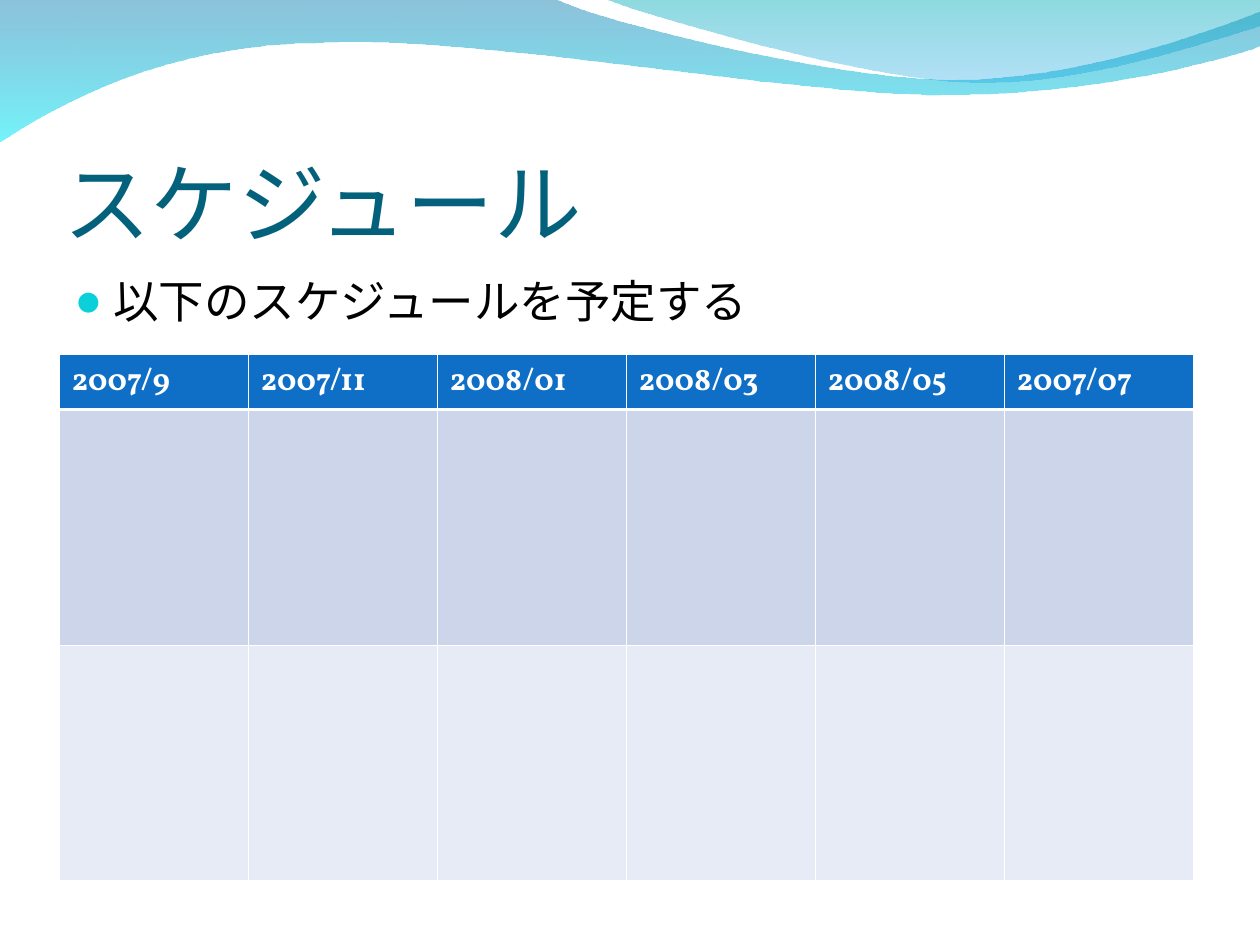
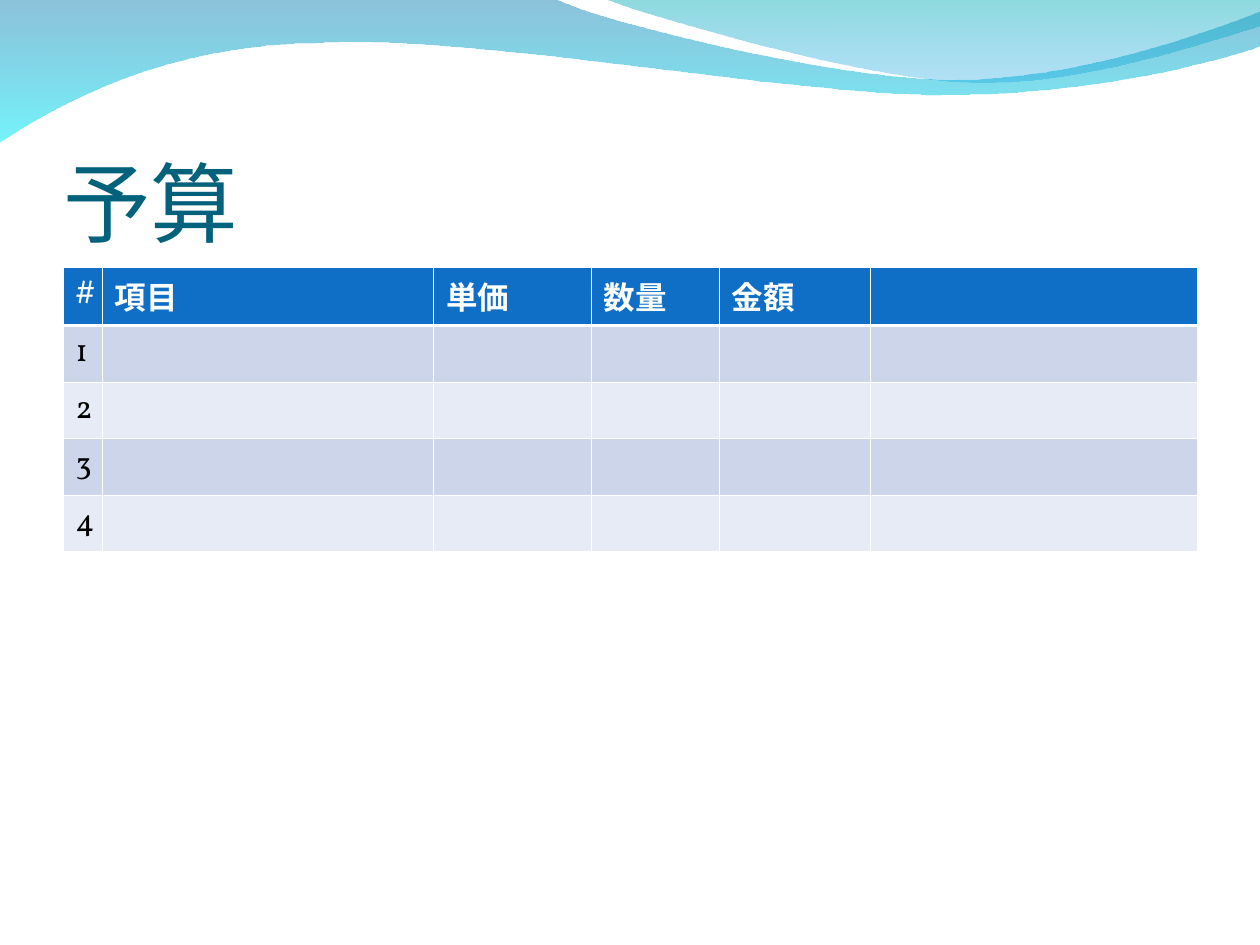
from itertools import chain

from lxml import etree
from pptx import Presentation
from pptx.dml.color import RGBColor
from pptx.enum.lang import MSO_LANGUAGE_ID
from pptx.enum.text import MSO_ANCHOR, MSO_AUTO_SIZE, PP_ALIGN
from pptx.oxml.ns import qn
from pptx.util import Inches, Pt

JAPANESE = MSO_LANGUAGE_ID.JAPANESE
BOTTOM, LEFT, NO_AUTOFIT = MSO_ANCHOR.BOTTOM, PP_ALIGN.LEFT, MSO_AUTO_SIZE.NONE
TITLE_ONLY = 5

COLORS = {
    "white": "FFFFFF", "black": "000000", "title": "04617B", "bullet": "0BD0D9",
    "header": "0F6FC6", "band_dark": "CCD5EA", "band_light": "E7EBF5",
    "wave_top": "0079AF", "wave_bottom": "00EBF8",
    "crest_top": "00ADB6", "crest_bottom": "009BE5",
}
TITLE_FONT, BODY_FONT = "Calibri", "Vollkorn"
TITLE_BOX = (0.5, 0.77, 9, 1.25)
THIN, THICK = 0.45, 1.47

WAVE = [
    [(0, -0.01)], [(4.4, -0.01)],
    [(4.76, 0.17), (6.64, 0.63), (7.58, 0.63)],
    [(8.53, 0.63), (9.58, 0.26), (10, 0.09)],
    [(10.01, 0.36)],
    [(9.83, 0.44), (8.7, 0.76), (7.46, 0.75)],
    [(6.22, 0.75), (3.82, 0.28), (2.57, 0.34)],
    [(1.29, 0.35), (0.46, 0.83), (-0.01, 1.13)],
    [(0, -0.01)],
]
CREST = [
    [(4.79, -0.01)],
    [(5.09, 0.11), (6.82, 0.62), (7.69, 0.65)],
    [(8.56, 0.69), (9.61, 0.32), (10, 0.21)],
    [(10, 0)], [(4.79, -0.01)],
]
WAVES = [
    (WAVE, [("wave_top", 45), ("wave_bottom", 55)]),
    (CREST, [("crest_top", 45), ("crest_bottom", 30)]),
]

SCHEDULE = [["2007/9", "2007/11", "2008/01", "2008/03", "2008/05", "2007/07"], [], []]
BUDGET = [["#", "項目", "単価", "数量", "金額"], ["1"], ["2"], ["3"], ["4"]]


def rgb(name):
    """Return the named colour."""
    return RGBColor.from_string(COLORS[name])


def style(paragraph, size, font, color, bold=False):
    """Format every run of a paragraph."""
    for run in paragraph.runs:
        run.font.size, run.font.name, run.font.bold = Pt(size), font, bold
        run.font.color.rgb = rgb(color)
        run.font.language_id = JAPANESE


def add_curved_outline(slide, segments):
    """Build an outline whose three-point segments are cubic curves."""
    start, *rest = [(Inches(x), Inches(y)) for x, y in chain.from_iterable(segments)]
    builder = slide.shapes.build_freeform(*start)
    builder.add_line_segments(rest, close=True)
    outline = builder.convert_to_shape()
    lines = iter(outline._element.findall(".//" + qn("a:lnTo")))
    for segment in segments[1:]:
        first, *others = [next(lines) for _ in segment]
        if others:
            first.tag = qn("a:cubicBezTo")
            for line in others:
                first.append(line[0])
                line.getparent().remove(line)
    return outline


def add_waves(slide):
    """Draw the translucent waves behind the slide's content."""
    for depth, (segments, stops) in enumerate(WAVES):
        wave = add_curved_outline(slide, segments)
        wave.shadow.inherit = False
        wave.line.fill.background()
        wave.fill.gradient()
        wave.fill.gradient_angle = 270
        for position, (stop, (color, opacity)) in enumerate(zip(wave.fill.gradient_stops, stops)):
            stop.position = position
            stop.color.rgb = rgb(color)
            tint = wave._element.spPr.findall(".//" + qn("a:srgbClr"))[position]
            etree.SubElement(tint, qn("a:alpha"), val=str(opacity * 1000))
        slide.shapes._spTree.insert(2 + depth, wave._element)


def add_titled_slide(deck, heading):
    """Add a slide with the waves and the shared title style."""
    slide = deck.slides.add_slide(deck.slide_layouts[TITLE_ONLY])
    add_waves(slide)
    title = slide.shapes.title
    title.left, title.top, title.width, title.height = map(Inches, TITLE_BOX)
    frame = title.text_frame
    frame.text = heading
    frame.word_wrap, frame.auto_size, frame.vertical_anchor = True, NO_AUTOFIT, BOTTOM
    frame.margin_left = frame.margin_right = frame.margin_bottom = 0
    frame.margin_top = Inches(0.05)
    frame.paragraphs[0].alignment = LEFT
    style(frame.paragraphs[0], 50, TITLE_FONT, "title")
    return slide


def add_bullet(slide, box, sentence):
    """Place one bulleted sentence in a box."""
    frame = slide.shapes.add_textbox(*map(Inches, box)).text_frame
    frame.word_wrap = True
    frame.text = sentence
    paragraph = frame.paragraphs[0]
    properties = paragraph._p.get_or_add_pPr()
    properties.set("marL", str(Inches(0.3)))
    properties.set("indent", str(-Inches(0.3)))
    bullet_color = etree.SubElement(properties, qn("a:buClr"))
    etree.SubElement(bullet_color, qn("a:srgbClr"), val=COLORS["bullet"])
    etree.SubElement(properties, qn("a:buSzPct"), val="95000")
    etree.SubElement(properties, qn("a:buFont"), typeface=TITLE_FONT)
    etree.SubElement(properties, qn("a:buChar"), char="●")
    style(paragraph, 26, BODY_FONT, "black")


def add_borders(cell, top, bottom):
    """Give a cell white borders of the stated weights."""
    properties = cell._tc.get_or_add_tcPr()
    for side, weight in (("L", THIN), ("R", THIN), ("T", top), ("B", bottom)):
        line = etree.SubElement(properties, qn(f"a:ln{side}"), w=str(Pt(weight)))
        fill = etree.SubElement(line, qn("a:solidFill"))
        etree.SubElement(fill, qn("a:srgbClr"), val=COLORS["white"])


def add_banded_table(slide, left, top, widths, heights, entries):
    """Place a table with a blue header and alternating row bands."""
    table = slide.shapes.add_table(
        len(heights), len(widths), Inches(left), Inches(top),
        Inches(sum(widths)), Inches(sum(heights))).table
    table.horz_banding = False
    for column, width in zip(table.columns, widths):
        column.width = Inches(width)
    for index, (row, height, texts) in enumerate(zip(table.rows, heights, entries)):
        row.height = Inches(height)
        is_header = index == 0
        band = "header" if is_header else "band_dark" if index % 2 else "band_light"
        for cell in row.cells:
            add_borders(cell, THICK if index == 1 else THIN, THICK if is_header else THIN)
            cell.fill.solid()
            cell.fill.fore_color.rgb = rgb(band)
        for cell, text in zip(row.cells, texts):
            cell.text_frame.text = text
            style(cell.text_frame.paragraphs[0], 18, BODY_FONT,
                  "white" if is_header else "black", is_header)


def build_schedule(deck):
    """Build the schedule slide."""
    slide = add_titled_slide(deck, "スケジュール")
    add_bullet(slide, (0.5, 2.12, 9, 4.8), "以下のスケジュールを予定する")
    add_banded_table(slide, 0.47, 2.81, [1.5] * 6, [0.44, 1.87, 1.87], SCHEDULE)


def build_budget(deck):
    """Build the budget slide."""
    slide = add_titled_slide(deck, "予算")
    widths = [0.31, 2.63, 1.25, 1.02, 1.2, 2.59]
    add_banded_table(slide, 0.5, 2.12, widths, [0.41] * 5, BUDGET)


def main():
    """Build and save the deck."""
    deck = Presentation()
    deck.slide_width, deck.slide_height = Inches(10), Inches(7.5)
    build_schedule(deck)
    build_budget(deck)
    deck.save("out.pptx")


if __name__ == "__main__":
    main()
